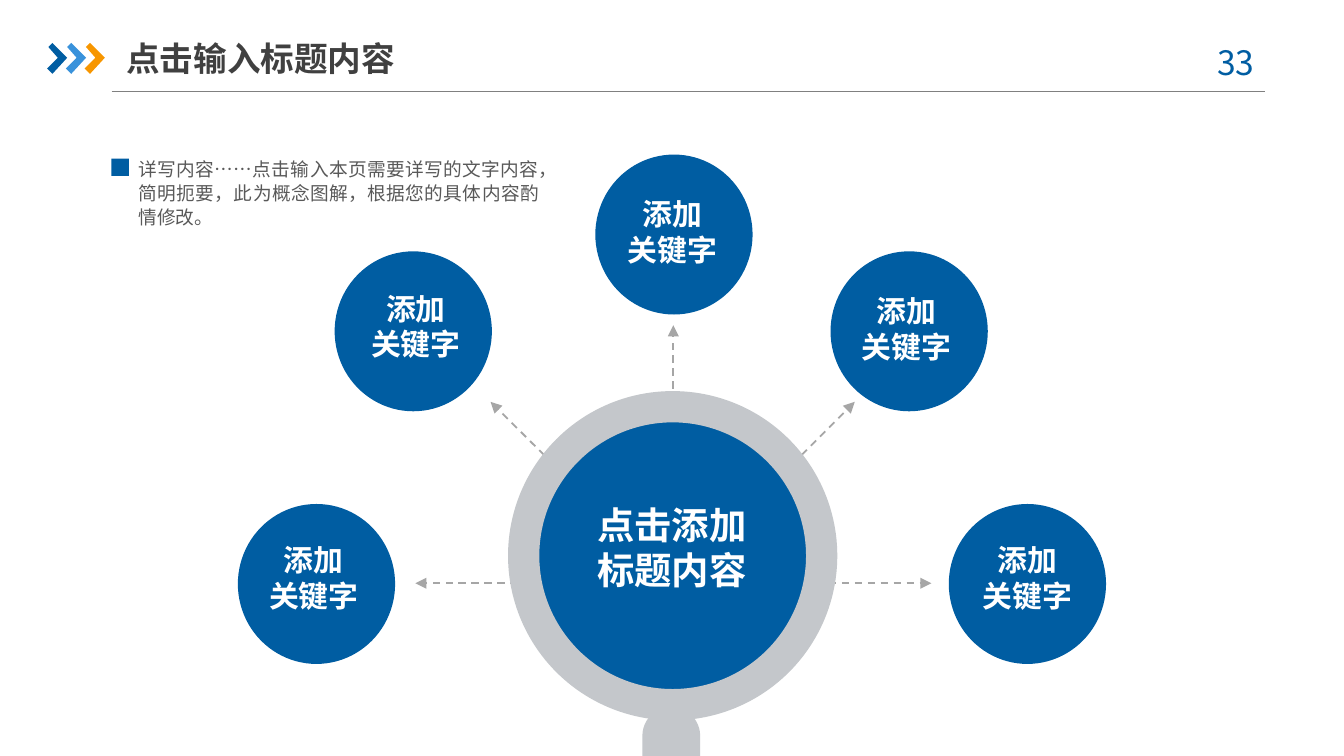
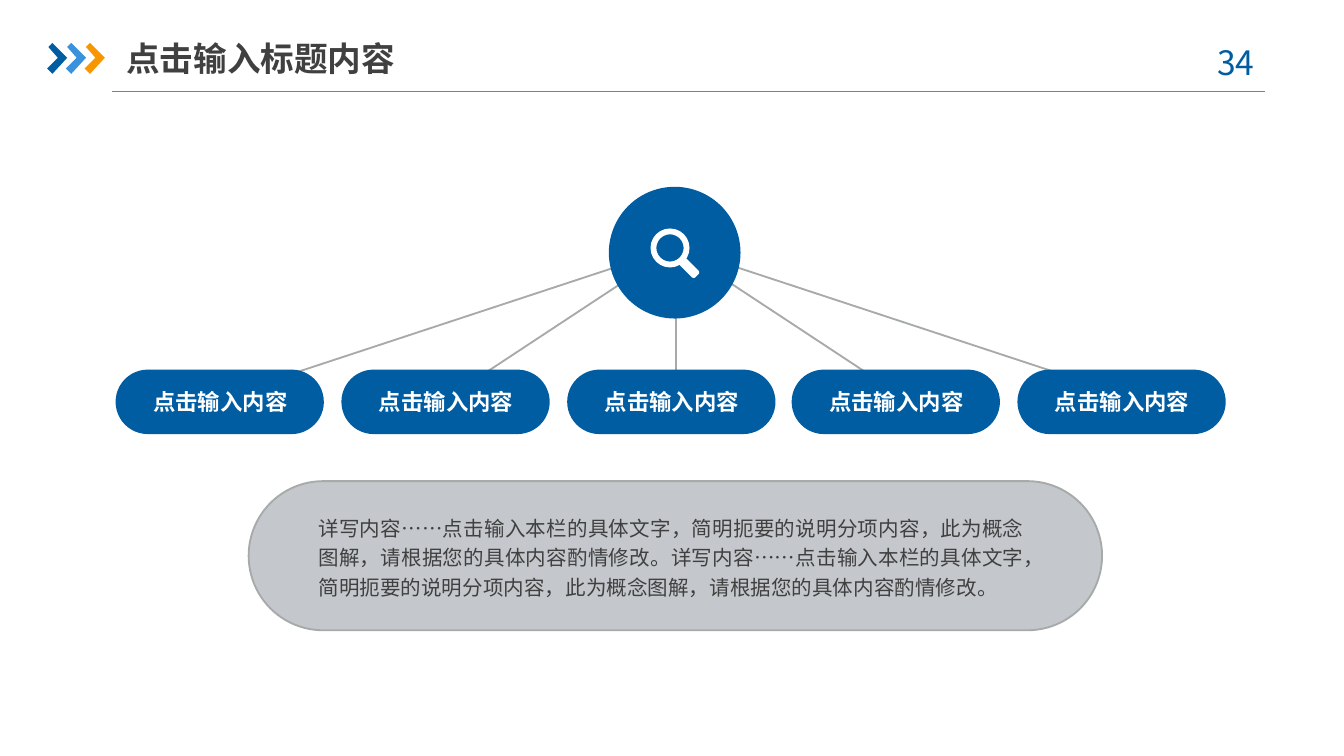
from lxml.etree import SubElement
from pptx import Presentation
from pptx.dml.color import RGBColor
from pptx.enum.dml import MSO_LINE
from pptx.enum.shapes import MSO_CONNECTOR, MSO_SHAPE as SHAPE
from pptx.enum.text import MSO_ANCHOR as ANCHOR, PP_ALIGN as ALIGN
from pptx.oxml.ns import qn
from pptx.util import Pt

PX = 9144  # 100 px to the inch
SLIDE_WIDTH = 1000
SLIDE_HEIGHT = SLIDE_WIDTH * 9 / 16

BLUE = RGBColor(0x00, 0x5D, 0xA2)
LIGHT_BLUE = RGBColor(0x39, 0x92, 0xDB)
ORANGE = RGBColor(0xF7, 0x96, 0x00)
WHITE = RGBColor(0xFF, 0xFF, 0xFF)
SILVER = RGBColor(0xC4, 0xC7, 0xCB)
ARROW_GRAY = RGBColor(0xA6, 0xA6, 0xA6)
LINE_GRAY = RGBColor(0xA6, 0xAA, 0xA9)
RULE_GRAY = RGBColor(0x80, 0x80, 0x80)
TEXT_DARK = RGBColor(0x40, 0x40, 0x40)
TEXT_GRAY = RGBColor(0x59, 0x59, 0x59)

FONT = "Noto Sans CJK SC"
TITLE = "点击输入标题内容"
CHEVRON = ((1, 3), (4, 0), (15, 11), (4, 23), (0, 19), (8, 11))


def emu(*lengths):
    return [round(length * PX) for length in lengths]


def paint(shape, fill, line=None):
    shape.shadow.inherit = False
    shape.fill.solid()
    shape.fill.fore_color.rgb = fill
    if line is None:
        shape.line.fill.background()
    else:
        shape.line.color.rgb = line
        shape.line.width = Pt(1)


def add_shape(slide, kind, box, fill, line=None, adjustment=None):
    shape = slide.shapes.add_shape(kind, *emu(*box))
    paint(shape, fill, line)
    if adjustment is not None:
        shape.adjustments[0] = adjustment
    return shape


def add_line(slide, start, end, color, width=1, arrow=False):
    """Draw a straight line; an arrow is dashed and has a head at its end."""
    connector = slide.shapes.add_connector(
        MSO_CONNECTOR.STRAIGHT, *emu(*start, *end))
    connector.line.color.rgb = color
    connector.line.width = Pt(width)
    properties = connector._element.spPr
    if arrow:
        connector.line.dash_style = MSO_LINE.DASH
        outline = properties.find(qn("a:ln"))
        SubElement(outline, qn("a:tailEnd"), type="triangle")
    SubElement(properties, qn("a:effectLst"))


def add_text(slide, box, text, size, color, bold=False, align=ALIGN.CENTER,
             anchor=ANCHOR.TOP, insets=(10, 5), line_spacing=None,
             space_before=None):
    """Add a text box; insets are the horizontal and the vertical margin."""
    frame = slide.shapes.add_textbox(*emu(*box)).text_frame
    frame.word_wrap = True
    frame.vertical_anchor = anchor
    frame.margin_left = frame.margin_right = insets[0] * PX
    frame.margin_top = frame.margin_bottom = insets[1] * PX
    frame.text = text
    for paragraph in frame.paragraphs:
        paragraph.alignment = align
        paragraph.line_spacing = line_spacing
        paragraph.space_before = space_before
        font = paragraph.font
        font.name, font.size, font.bold = FONT, Pt(size), bold
        font.color.rgb = color
        defaults = paragraph._p.pPr.find(qn("a:defRPr"))
        SubElement(defaults, qn("a:ea"), typeface=FONT)


def add_header(slide, box, number):
    left, top, width, height = box
    add_line(slide, (left + 48, top + height), (left + width, top + height),
             RULE_GRAY, 0.75)
    for index, color in enumerate((BLUE, LIGHT_BLUE, ORANGE)):
        points = [(left + 14 * index + x, top + 10 + y) for x, y in CHEVRON]
        builder = slide.shapes.build_freeform(*points[0], scale=float(PX))
        builder.add_line_segments(points[1:], close=True)
        paint(builder.convert_to_shape(), color)
    add_text(slide, (left + 848, top + 4, 73, 40), str(number), 18, BLUE)
    add_text(slide, (left + 59, top, 233, 42), TITLE, 18, TEXT_DARK, bold=True,
             align=ALIGN.LEFT, anchor=ANCHOR.MIDDLE, insets=(0, 5))


def add_bullet_note(slide, box, text):
    left, top, width, height = box
    add_text(slide, (left + 20, top, width - 20, height), text, 10, TEXT_GRAY,
             align=ALIGN.JUSTIFY, insets=(0, 0), line_spacing=Pt(13))
    add_shape(slide, SHAPE.RECTANGLE, (left, top + 2, 13, 13), BLUE)


def add_magnifier(slide, box, text):
    """Draw a lens with a grey rim and a handle that runs off the slide."""
    left, top, size, _ = box
    add_shape(slide, SHAPE.OVAL, (left + 19, top + 20, size - 40, size - 40),
              BLUE)
    add_shape(slide, SHAPE.DONUT, box, SILVER, adjustment=0.095)
    add_shape(slide, SHAPE.ROUNDED_RECTANGLE,
              (left + 100, top + 235, 43, 88), SILVER, adjustment=0.5)
    add_text(slide, (left + 42, top + 78, 160, 77), text, 20, WHITE, bold=True)


def add_keyword(slide, box, label_offset):
    left, top, _, _ = box
    dx, dy = label_offset
    add_shape(slide, SHAPE.OVAL, box, BLUE)
    add_text(slide, (left + dx, top + dy, 97, 66), "添加\n关键字", 16, WHITE,
             bold=True, insets=(12, 6))


def add_search_hub(slide, box):
    left, top, _, _ = box
    add_shape(slide, SHAPE.OVAL, box, BLUE)
    add_shape(slide, SHAPE.DONUT, (left + 31, top + 31, 29, 29), WHITE,
              adjustment=0.15)
    handle = add_shape(slide, SHAPE.ROUNDED_RECTANGLE,
                       (left + 52, top + 57, 16, 7), WHITE, adjustment=0.25)
    handle.rotation = 45


def add_pill(slide, box, text):
    left, top, width, _ = box
    add_shape(slide, SHAPE.ROUNDED_RECTANGLE, box, BLUE, adjustment=0.5)
    add_text(slide, (left + 1, top + 8, width - 1, 34), text, 12, WHITE,
             bold=True, anchor=ANCHOR.MIDDLE, insets=(0, 0),
             line_spacing=0.9, space_before=Pt(10))


def add_summary(slide, box, text):
    left, top, width, _ = box
    add_shape(slide, SHAPE.ROUNDED_RECTANGLE, box, SILVER, LINE_GRAY, 0.5)
    add_text(slide, (left + 52, top + 24, width - 110, 62), text, 11,
             TEXT_DARK, align=ALIGN.JUSTIFY, anchor=ANCHOR.MIDDLE,
             insets=(0, 0), line_spacing=1.2, space_before=Pt(10))


def build_magnifier_slide(slide):
    center = (501, 434)
    for tip in ((309, 434), (693, 434), (501, 242), (365, 299), (636, 299)):
        add_line(slide, center, tip, ARROW_GRAY, arrow=True)
    add_magnifier(slide, (378, 291, 245, 245), "点击添加\n标题内容")
    keywords = (
        ((177, 375), (8, 22)),
        ((249, 187), (12, 23)),
        ((443, 115), (9, 25)),
        ((618, 187), (8, 25)),
        ((706, 375), (10, 22)),
    )
    for position, label_offset in keywords:
        add_keyword(slide, (*position, 117, 119), label_offset)
    add_bullet_note(
        slide, (83, 116, 318, 55),
        "详写内容……点击输入本页需要详写的文字内容，简明扼要，"
        "此为概念图解，根据您的具体内容酌情修改。")


def build_hub_slide(slide):
    for index in range(5):
        add_line(slide, (503, 184), (163 + 170 * index, 296), LINE_GRAY)
    for index in range(5):
        left = round(86 + 167.75 * index)
        add_pill(slide, (left, 275, 155, 48), "点击输入内容")
    add_search_hub(slide, (453, 139, 98, 98))
    add_summary(
        slide, (185, 358, 635, 111),
        "详写内容……点击输入本栏的具体文字，简明扼要的说明分项内容，"
        "此为概念图解，请根据您的具体内容酌情修改。" * 2)


def main():
    presentation = Presentation()
    presentation.slide_width, presentation.slide_height = emu(
        SLIDE_WIDTH, SLIDE_HEIGHT)
    blank = presentation.slide_layouts[6]
    builders = (build_magnifier_slide, build_hub_slide)
    for number, build in enumerate(builders, start=33):
        slide = presentation.slides.add_slide(blank)
        add_header(slide, (35, 22, 906, 46), number)
        build(slide)
    presentation.save("out.pptx")


if __name__ == "__main__":
    main()
